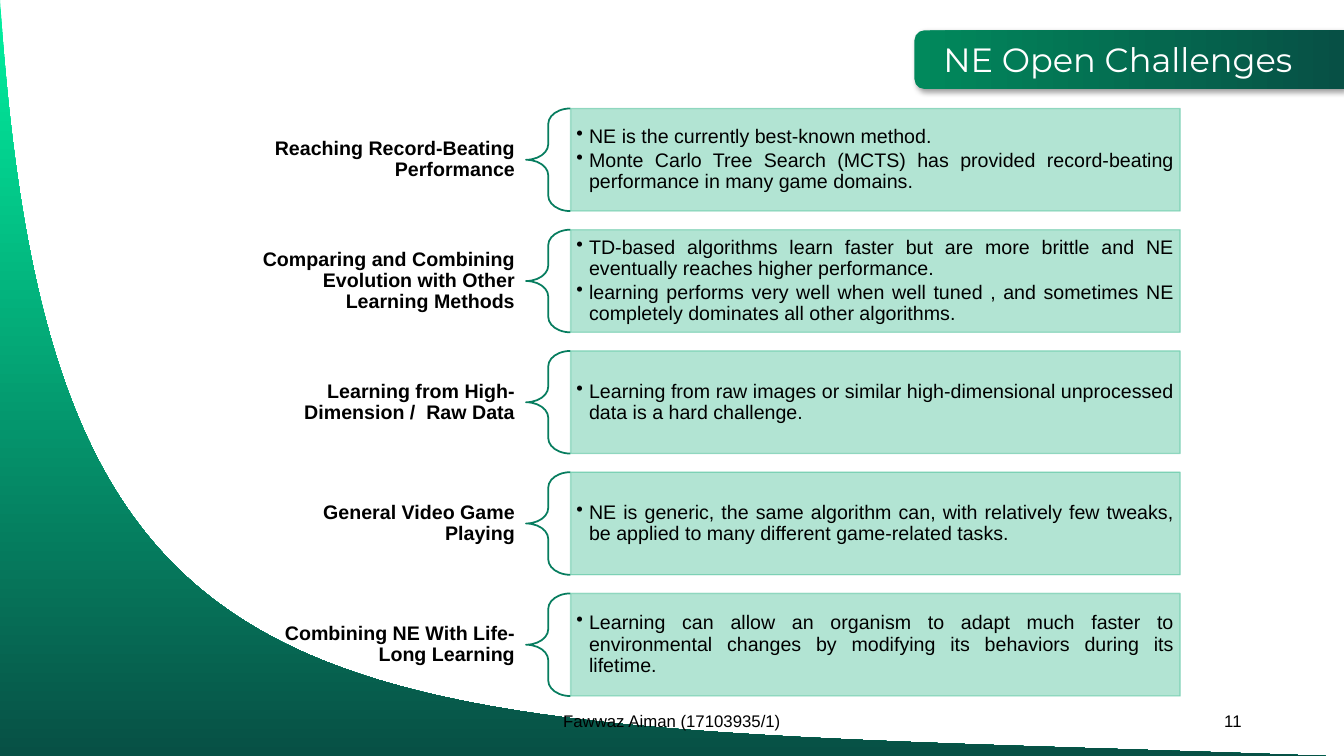
from dataclasses import dataclass

from lxml import etree
from pptx import Presentation
from pptx.dml.color import RGBColor
from pptx.enum.shapes import MSO_SHAPE
from pptx.enum.text import MSO_ANCHOR, PP_ALIGN
from pptx.oxml.ns import qn
from pptx.util import Pt

RECT = MSO_SHAPE.RECTANGLE
BRACE = MSO_SHAPE.LEFT_BRACE
TAB = MSO_SHAPE.ROUND_2_SAME_RECTANGLE
MIDDLE, TOP = MSO_ANCHOR.MIDDLE, MSO_ANCHOR.TOP
LEFT, CENTER = PP_ALIGN.LEFT, PP_ALIGN.CENTER
RIGHT, JUSTIFY = PP_ALIGN.RIGHT, PP_ALIGN.JUSTIFY

COLORS = {
    "banner": "01895C",
    "mint": "01F1A0",
    "deep": "075045",
    "brace": "077D5F",
    "panel": "01A770",
    "text": "000000",
    "title": "FFFFFF",
}
SLIDE_W, SLIDE_H = 960, 540

# Row grid, in points
ROW_TOP, ROW_PITCH, ROW_H = 77.5, 86.6, 73.3
LABEL_X, LABEL_W = 176.4, 199.4
BRACE_X, BRACE_W = 375.8, 31.7
PANEL_X, PANEL_W = 407.6, 435.4
BULLET_INDENT = 9


@dataclass
class Challenge:
    label: str
    points: list[str]


@dataclass
class Caption:
    text: str
    box: tuple[float, float, float, float]
    size: float
    font: str
    color: str
    align: PP_ALIGN
    anchor: MSO_ANCHOR


CHALLENGES = [
    Challenge("Reaching Record-Beating Performance", [
        "NE is the currently best-known method.",
        "Monte Carlo Tree Search (MCTS) has provided record-beating "
        "performance in many game domains.",
    ]),
    Challenge("Comparing and Combining Evolution with Other Learning Methods", [
        "TD-based algorithms learn faster but are more brittle and NE "
        "eventually reaches higher performance.",
        "learning performs very well when well tuned , and sometimes NE "
        "completely dominates all other algorithms.",
    ]),
    Challenge("Learning from High-Dimension /  Raw Data", [
        "Learning from raw images or similar high-dimensional unprocessed "
        "data is a hard challenge.",
    ]),
    Challenge("General Video Game Playing", [
        "NE is generic, the same algorithm can, with relatively few tweaks, "
        "be applied to many different game-related tasks.",
    ]),
    Challenge("Combining NE With Life-Long Learning", [
        "Learning can allow an organism to adapt much faster to environmental "
        "changes by modifying its behaviors during its lifetime.",
    ]),
]
CAPTIONS = [
    Caption("NE Open Challenges", (666.7, 24.5, 283, 36), 24, "Montserrat",
            "title", LEFT, TOP),
    Caption("Fawwaz Aiman (17103935/1)", (318, 500.5, 324, 28.8), 12, "Arial",
            "text", CENTER, MIDDLE),
    Caption("11", (678, 500.5, 216, 28.8), 12, "Arial", "text", RIGHT, MIDDLE),
]


def rgb(name: str) -> RGBColor:
    return RGBColor.from_string(COLORS[name])


def fill_gradient(sp, start: str, end: str) -> None:
    sp.fill.gradient()
    sp.fill.gradient_angle = 270
    for stop, name in zip(sp.fill.gradient_stops, (start, end)):
        stop.color.rgb = rgb(name)
    sp.line.fill.background()


def set_alpha(parent, percent: int) -> None:
    for clr in parent.iter(qn("a:srgbClr")):
        etree.SubElement(clr, qn("a:alpha"), val=str(percent * 1000))


def style(p, size: float, font: str, color: str, align: PP_ALIGN) -> None:
    p.alignment = align
    p.font.size = Pt(size)
    p.font.name = font
    p.font.color.rgb = rgb(color)


def set_frame(tf, anchor: MSO_ANCHOR, inset_x: float, inset_y: float) -> None:
    tf.word_wrap = True
    tf.vertical_anchor = anchor
    tf.margin_left = tf.margin_right = Pt(inset_x)
    tf.margin_top = tf.margin_bottom = Pt(inset_y)


def add_banner(shapes) -> None:
    w, h = 41.8, 306.7
    center_x, center_y = 806.6, 42.6
    sp = shapes.add_shape(TAB, Pt(center_x - w / 2), Pt(center_y - h / 2), Pt(w), Pt(h))
    sp.rotation = 270
    fill_gradient(sp, "banner", "deep")
    sp.shadow.inherit = False
    effects = sp._element.spPr.find(qn("a:effectLst"))
    shadow = etree.SubElement(effects, qn("a:outerShdw"), blurRad=str(Pt(4)),
                              dist=str(Pt(3)), dir=str(45 * 60000), rotWithShape="0")
    etree.SubElement(shadow, qn("a:srgbClr"), val=COLORS["text"])
    set_alpha(shadow, 40)


def add_swoosh(shapes) -> None:
    # Cubic curve from the top left corner to the bottom right one
    curve = ((0, 0), (36, 555.1), (236.9, 513.4), (959.4, 540.5))
    steps = 120
    points = []
    for i in range(1, steps + 1):
        t = i / steps
        weights = ((1 - t) ** 3, 3 * t * (1 - t) ** 2, 3 * t * t * (1 - t), t ** 3)
        x, y = (sum(w * c[axis] for w, c in zip(weights, curve)) for axis in (0, 1))
        points.append((Pt(x), Pt(y)))
    points.append((Pt(-1), Pt(540.5)))
    builder = shapes.build_freeform(0, 0)
    builder.add_line_segments(points, close=True)
    sp = builder.convert_to_shape()
    fill_gradient(sp, "mint", "deep")
    sp.shadow.inherit = False


def add_caption(shapes, caption: Caption) -> None:
    tf = shapes.add_textbox(*map(Pt, caption.box)).text_frame
    set_frame(tf, caption.anchor, 7.2, 3.6)
    p = tf.paragraphs[0]
    p.text = caption.text
    style(p, caption.size, caption.font, caption.color, caption.align)


def add_label(shapes, text: str, top: float) -> None:
    tf = shapes.add_textbox(Pt(LABEL_X), Pt(top), Pt(LABEL_W), Pt(ROW_H)).text_frame
    set_frame(tf, MIDDLE, 7.9, 2.9)
    p = tf.paragraphs[0]
    p.text = text
    p.line_spacing = 0.9
    p.font.bold = True
    style(p, 14, "Arial", "text", RIGHT)


def add_brace(shapes, top: float) -> None:
    sp = shapes.add_shape(BRACE, Pt(BRACE_X), Pt(top), Pt(BRACE_W), Pt(ROW_H))
    sp.adjustments[0] = 0.35
    sp.fill.background()
    sp.line.color.rgb = rgb("brace")
    sp.line.width = Pt(1.25)
    sp.shadow.inherit = False


def add_panel(shapes, points: list[str], top: float) -> None:
    sp = shapes.add_shape(RECT, Pt(PANEL_X), Pt(top), Pt(PANEL_W), Pt(ROW_H))
    sp.fill.solid()
    sp.fill.fore_color.rgb = sp.line.color.rgb = rgb("panel")
    sp.line.width = Pt(1)
    sp.shadow.inherit = False
    set_alpha(sp._element.spPr, 30)
    tf = sp.text_frame
    set_frame(tf, MIDDLE, 4.2, 4.2)
    for i, text in enumerate(points):
        p = tf.add_paragraph() if i else tf.paragraphs[0]
        p.text = text
        p.line_spacing = 0.9
        p.space_after = Pt(2.1)
        style(p, 14, "Arial", "text", JUSTIFY)
        props = p._p.get_or_add_pPr()
        props.set("marL", str(Pt(BULLET_INDENT)))
        props.set("indent", str(Pt(-BULLET_INDENT)))
        bullet = etree.Element(qn("a:buChar"), char="•")
        props.find(qn("a:defRPr")).addprevious(bullet)


def main() -> None:
    prs = Presentation()
    prs.slide_width, prs.slide_height = Pt(SLIDE_W), Pt(SLIDE_H)
    shapes = prs.slides.add_slide(prs.slide_layouts[6]).shapes

    # Background and captions
    add_banner(shapes)
    add_swoosh(shapes)
    for caption in CAPTIONS:
        add_caption(shapes, caption)

    # Challenge rows
    for i, challenge in enumerate(CHALLENGES):
        top = ROW_TOP + i * ROW_PITCH
        add_label(shapes, challenge.label, top)
        add_brace(shapes, top)
        add_panel(shapes, challenge.points, top)
    prs.save("out.pptx")


if __name__ == "__main__":
    main()
